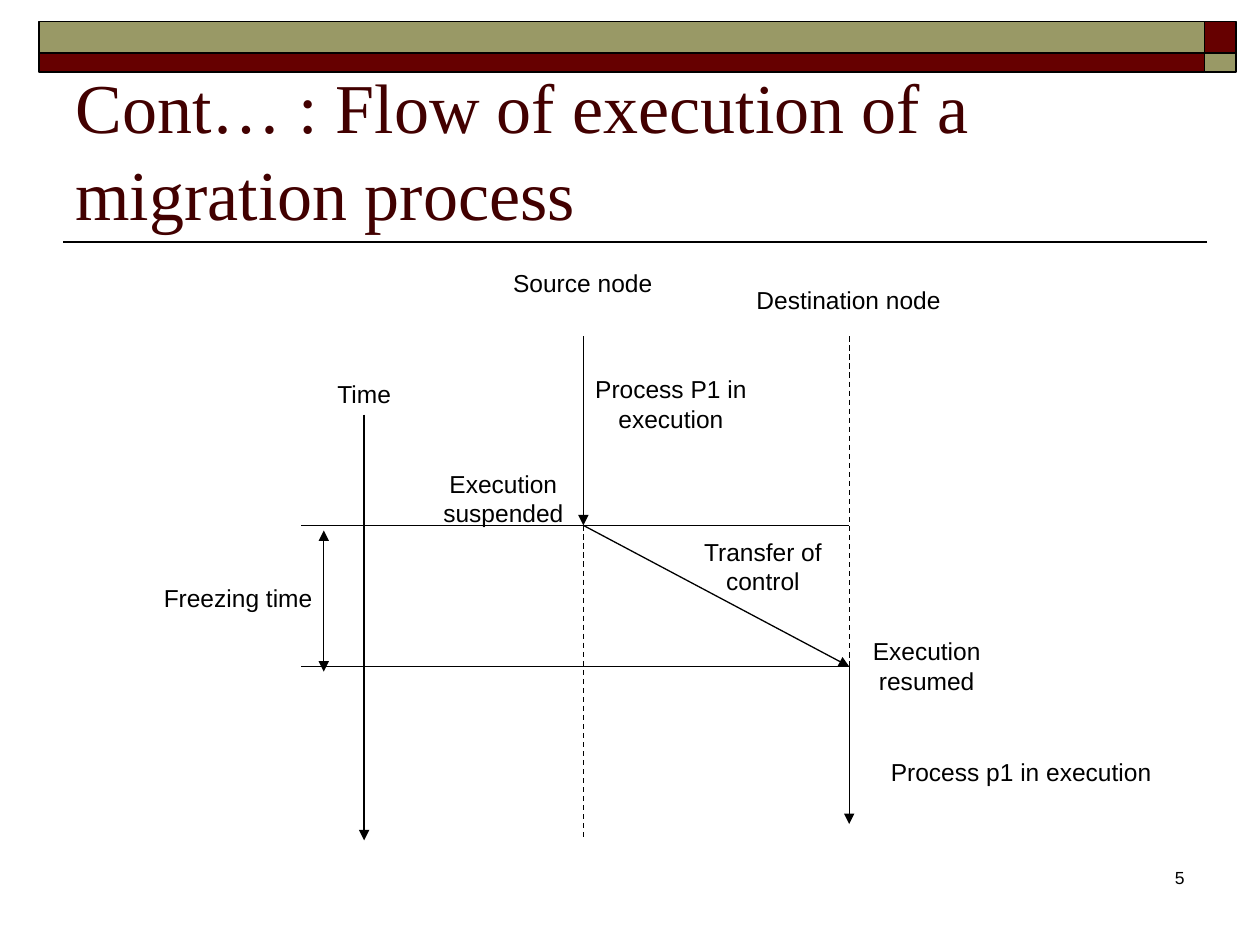
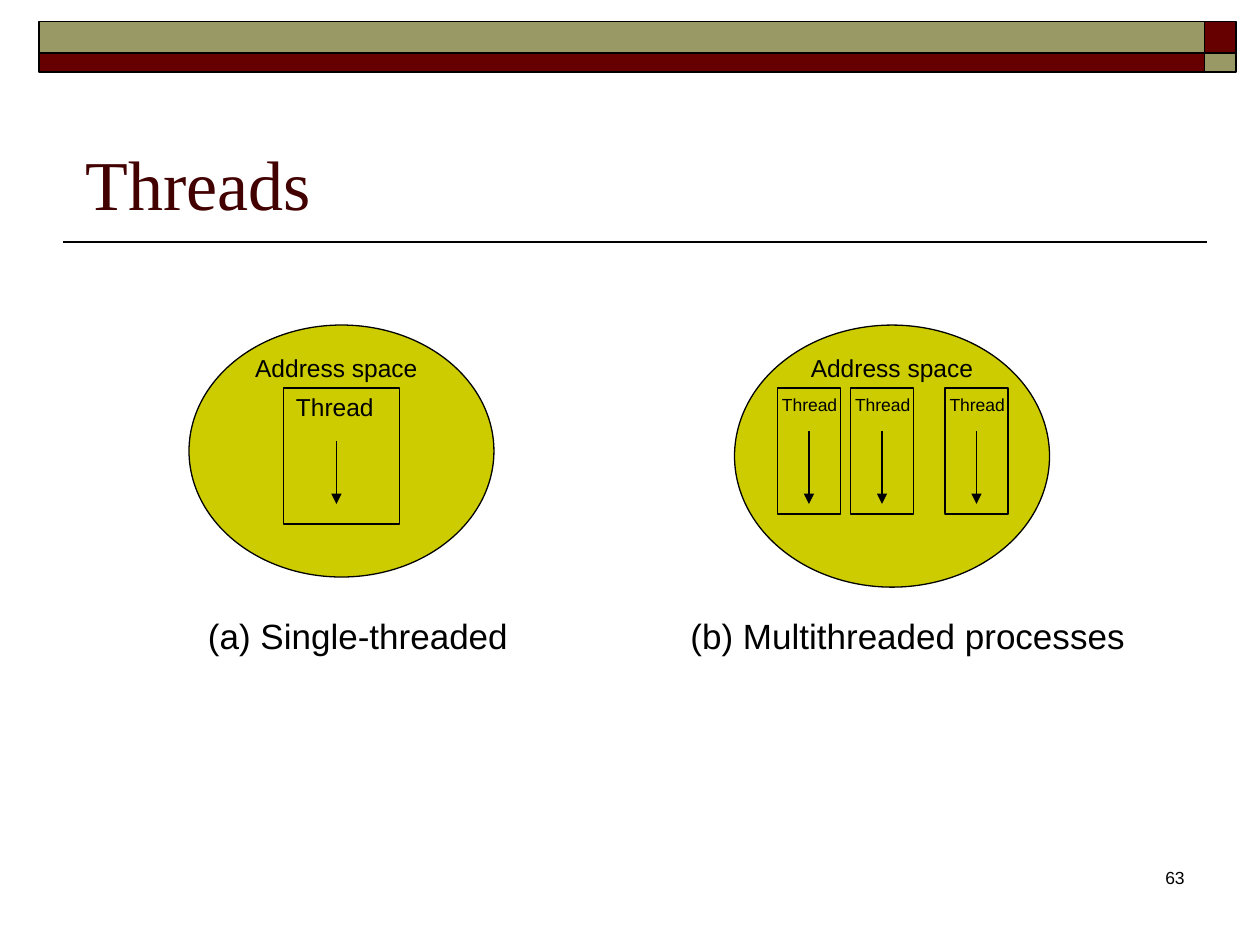
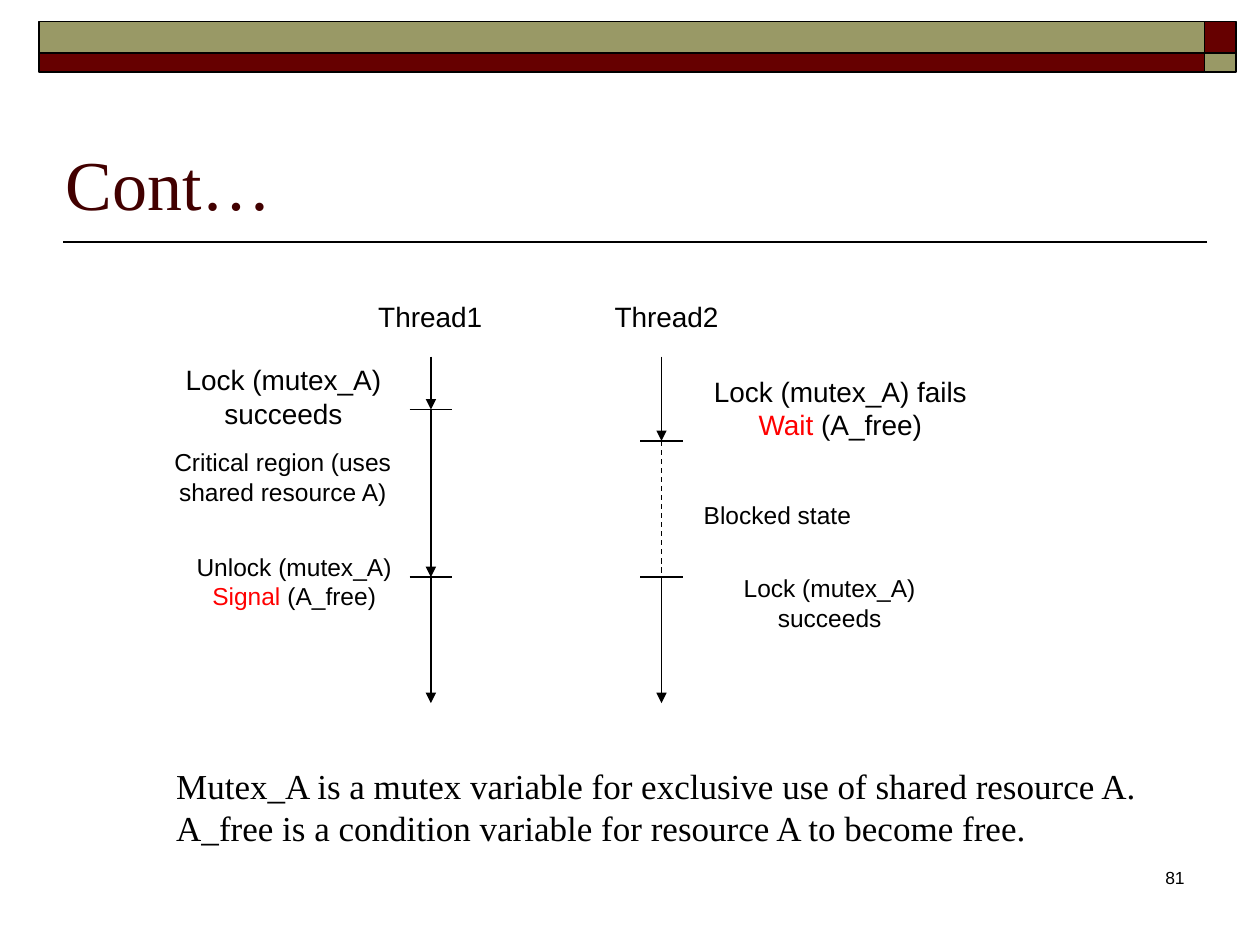
from lxml.etree import SubElement
from pptx import Presentation
from pptx.dml.color import RGBColor
from pptx.enum.dml import MSO_LINE
from pptx.enum.shapes import MSO_CONNECTOR, MSO_SHAPE
from pptx.enum.text import MSO_ANCHOR, MSO_AUTO_SIZE, PP_ALIGN
from pptx.oxml.ns import qn
from pptx.util import Inches, Pt

color = RGBColor.from_string
BLACK, RED, MAROON, OLIVE, LIME = "000000", "FF0000", "660000", "999966", "CCCC00"
TITLE = "420000"
SANS, SERIF = "Arial", "Times New Roman"
LEFT, MID, RIGHT = PP_ALIGN.LEFT, PP_ALIGN.CENTER, PP_ALIGN.RIGHT
RECT, OVAL = MSO_SHAPE.RECTANGLE, MSO_SHAPE.OVAL


def write(frame, text, size, align=MID, font=SANS, tint=BLACK):
    frame.word_wrap = True
    for row, line in enumerate(text.split("\n")):
        para = frame.add_paragraph() if row else frame.paragraphs[0]
        para.alignment = align
        for part, words in enumerate(line.split("|")):
            run = para.add_run()
            run.text = words
            run.font.name = font
            run.font.size = Pt(size)
            run.font.color.rgb = color(RED if part % 2 else tint)


def draw(slide, start, end, style="-", width=0.75):
    link = slide.shapes.add_connector(
        MSO_CONNECTOR.STRAIGHT, *[Inches(n) for n in start + end])
    link.line.color.rgb = color(BLACK)
    link.line.width = Pt(width)
    if style == "--":
        link.line.dash_style = MSO_LINE.DASH
    props = link.element.spPr
    for mark, tag in (("<", "a:headEnd"), (">", "a:tailEnd")):
        if mark in style:
            SubElement(props.find(qn("a:ln")), qn(tag), type="triangle")
    SubElement(props, qn("a:effectLst"))


bands = [
    (RECT, (9.56, 0.17, 0.25, 0.25), MAROON, 1),
    (RECT, (0.31, 0.17, 9.25, 0.25), OLIVE, 1),
    (RECT, (0.31, 0.42, 9.25, 0.15), MAROON, 1),
    (RECT, (9.56, 0.42, 0.25, 0.15), OLIVE, 1),
]

stop, resume = 4.17, 5.29
clock, source, target = 2.89, 4.63, 6.74
flow = dict(
    title="Cont… : Flow of execution of a migration process",
    place=(0.5, 1.04, 8.98, 0.87), number="5", forms=[],
    lines=[
        ((clock, 3.29), (clock, 6.67), ">"),
        ((source, 2.67), (source, stop), ">"),
        ((source, stop), (source, 6.67), "--"),
        ((target, 2.67), (target, 5.42), "--"),
        ((target, resume), (target, 6.54), ">"),
        ((2.39, stop), (target, stop), "-"),
        ((target, resume), (2.39, resume), "-"),
        ((source, stop), (target, resume), ">"),
        ((2.57, 4.21), (2.57, 5.33), "<>"),
    ],
    labels=[
        ("Time", (2.33, 2.96, 1.12, 0.34), 14),
        ("Execution suspended", (3.25, 3.67, 1.49, 0.57), 14),
        ("Source node", (3.94, 2.08, 1.37, 0.34), 14),
        ("Destination node", (5.68, 2.21, 2.11, 0.34), 14),
        ("Freezing time", (1.08, 4.58, 1.62, 0.34), 14),
        ("Execution resumed", (6.67, 5, 1.37, 0.57), 14),
        ("Process P1 in execution", (4.58, 2.92, 1.49, 0.57), 14),
        ("Process p1 in execution", (6.8, 5.96, 2.61, 0.34), 14),
        ("Transfer of control", (5.31, 4.21, 1.49, 0.57), 14),
    ])

lanes = (6.17, 6.75, 7.5)
threads = dict(
    title="Threads", place=(0.58, 0.83, 9, 1), number="63",
    forms=[
        (OVAL, (1.5, 2.58, 2.42, 2), LIME, 0.75),
        (OVAL, (5.83, 2.58, 2.5, 2.08), LIME, 0.75),
        *[(RECT, (x, 3.08, 0.5, 1), LIME, 0.75) for x in lanes],
        (RECT, (2.25, 3.08, 0.92, 1.08), LIME, 0.75, "Thread"),
    ],
    lines=[
        ((2.67, 3.5), (2.67, 4), ">"),
        *[((x + 0.25, 3.42), (x + 0.25, 4), ">") for x in lanes],
    ],
    labels=[
        ("Address space", (1.92, 2.75, 1.5, 0.34), 14),
        ("Address space", (6.33, 2.75, 1.5, 0.34), 14),
        *[("Thread", (x - 0.08, 3.08, 0.67, 0.27), 10) for x in lanes],
        ("(a) Single-threaded ", (1.42, 4.83, 2.92, 0.44), 20),
        ("(b) Multithreaded processes", (5.33, 4.83, 3.75, 0.44), 20),
    ])

first, second = 3.42, 5.25
ticks = [(first, 3.25), (first, 4.58), (second, 3.5), (second, 4.58)]
mutex = dict(
    title="Cont…", place=(0.42, 1, 9, 0.83), number="81", forms=[],
    lines=[
        ((first, 2.83), (first, 3.25), ">"),
        ((first, 3.25), (first, 4.58), ">"),
        ((first, 4.58), (first, 5.58), ">"),
        ((second, 2.83), (second, 3.5), ">"),
        ((second, 3.5), (second, 4.58), "--"),
        ((second, 4.58), (second, 5.58), ">"),
        *[((x - 0.17, y), (x + 0.17, y), "-") for x, y in ticks],
    ],
    labels=[
        ("Thread1", (2.83, 2.33, 1.17, 0.37), 16),
        ("Lock (mutex_A) succeeds", (1.25, 2.83, 2, 0.64), 16),
        ("Unlock (mutex_A) |Signal |(A_free)", (1.25, 4.33, 2.17, 0.57), 14),
        ("Critical region (uses shared resource A)", (1.08, 3.5, 2.33, 0.57), 14),
        ("Thread2", (4.75, 2.33, 1.08, 0.37), 16),
        ("Lock (mutex_A) fails |Wait |(A_free)", (5.42, 2.92, 2.5, 0.64), 16),
        ("Blocked state", (5.42, 3.92, 1.5, 0.34), 14),
        ("Lock (mutex_A) succeeds", (5.5, 4.5, 2.17, 0.57), 14),
        ("Mutex_A is a mutex variable for exclusive use of shared resource A.\n"
         "A_free is a condition variable for resource A to become free.",
         (1.3, 6.02, 7.95, 0.77), 20, LEFT, SERIF),
    ])

deck = Presentation()
deck.slide_width, deck.slide_height = Inches(10), Inches(7.5)

for page in (flow, threads, mutex):
    slide = deck.slides.add_slide(deck.slide_layouts[5])
    title = slide.shapes.title
    title.left, title.top, title.width, title.height = [
        Inches(n) for n in page["place"]]
    write(title.text_frame, page["title"], 40, LEFT, SERIF, TITLE)
    title.text_frame.auto_size = MSO_AUTO_SIZE.NONE
    title.text_frame.vertical_anchor = MSO_ANCHOR.BOTTOM
    title.text_frame.paragraphs[0].line_spacing = 1.04

    draw(slide, (9.58, 1.92), (0.5, 1.92), width=1)
    for kind, box, tint, width, *text in bands + page["forms"]:
        form = slide.shapes.add_shape(kind, *[Inches(n) for n in box])
        form.shadow.inherit = False
        form.fill.solid()
        form.fill.fore_color.rgb = color(tint)
        form.line.color.rgb = color(BLACK)
        form.line.width = Pt(width)
        for words in text:
            form.text_frame.vertical_anchor = MSO_ANCHOR.TOP
            form.text_frame.margin_top = Inches(0.03)
            write(form.text_frame, words, 14, LEFT)

    for line in page["lines"]:
        draw(slide, *line)

    number = (page["number"], (7.42, 6.83, 2.08, 0.5), 10, RIGHT)
    for words, box, *look in [number] + page["labels"]:
        label = slide.shapes.add_textbox(*[Inches(n) for n in box])
        write(label.text_frame, words, *look)

deck.save("out.pptx")
